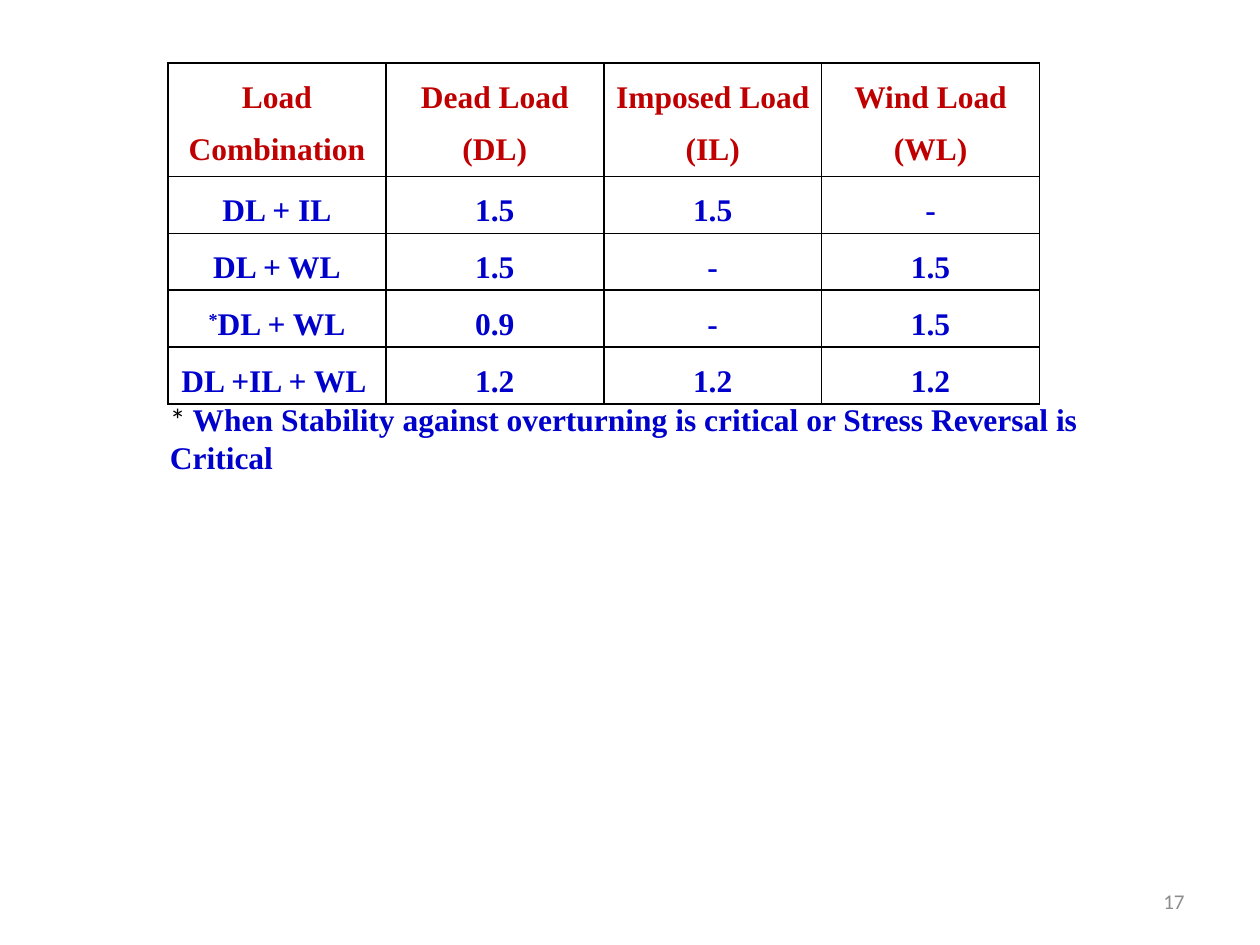
from dataclasses import dataclass

from lxml import etree
from pptx import Presentation
from pptx.dml.color import RGBColor
from pptx.enum.text import MSO_ANCHOR, MSO_AUTO_SIZE, PP_ALIGN
from pptx.oxml.ns import qn
from pptx.util import Pt

CENTER, RIGHT = PP_ALIGN.CENTER, PP_ALIGN.RIGHT
TOP, MIDDLE = MSO_ANCHOR.TOP, MSO_ANCHOR.MIDDLE
FIT_SHAPE, BLANK = MSO_AUTO_SIZE.SHAPE_TO_FIT_TEXT, 6


@dataclass(frozen=True)
class Theme:
    serif: str = "Times New Roman"
    sans: str = "Calibri"
    header: str = "C00000"
    body: str = "0000CC"
    black: str = "000000"
    muted: str = "8C8C8C"
    text_size: int = 18
    number_size: int = 12
    border: int = 1


THEME = Theme()
HEADER = dict(name=THEME.serif, size=THEME.text_size, bold=True, color=THEME.header)
BODY = {**HEADER, "color": THEME.body}
MARK = dict(name=THEME.sans, size=THEME.text_size, color=THEME.black)
NUMBER = dict(name=THEME.sans, size=THEME.number_size, color=THEME.muted)

LOADS = [
    ["Load Combination", "Dead Load (DL)", "Imposed Load (IL)", "Wind Load (WL)"],
    ["DL + IL", "1.5", "1.5", "-"],
    ["DL + WL", "1.5", "-", "1.5"],
    ["*DL + WL", "0.9", "-", "1.5"],
    ["DL +IL + WL ", "1.2", "1.2", "1.2"],
]
HEADER_HEIGHT, ROW_HEIGHT = 64.8, 32.5


def set_attrs(obj, **values):
    for name, value in values.items():
        setattr(obj, name, value)


def add_run(p, text, color, size, **font):
    r = p.add_run()
    r.text = text
    set_attrs(r.font, size=Pt(size), **font)
    r.font.color.rgb = RGBColor.from_string(color)
    return r


def set_borders(cell):
    tcPr = cell._tc.get_or_add_tcPr()
    for i, side in enumerate(("lnL", "lnR", "lnT", "lnB")):
        ln = etree.Element(qn(f"a:{side}"), w=str(Pt(THEME.border)))
        fill = etree.SubElement(ln, qn("a:solidFill"))
        etree.SubElement(fill, qn("a:srgbClr"), val=THEME.black)
        tcPr.insert(i, ln)


def fill_cell(cell, text, style):
    set_attrs(cell, margin_left=Pt(5), margin_right=Pt(5), margin_top=0,
              margin_bottom=0, vertical_anchor=TOP)
    p = cell.text_frame.paragraphs[0]
    set_attrs(p, alignment=CENTER, line_spacing=1.5)
    # A leading asterisk is a raised footnote mark
    if text.startswith("*"):
        mark = add_run(p, "*", **style)
        mark.font._element.set("baseline", "30000")
        text = text[1:]
    add_run(p, text, **style)
    set_borders(cell)
    cell.fill.background()


def add_load_table(s, x, y, w):
    height = HEADER_HEIGHT + ROW_HEIGHT * (len(LOADS) - 1)
    table = s.shapes.add_table(len(LOADS), len(LOADS[0]),
                               Pt(x), Pt(y), Pt(w), Pt(height)).table
    set_attrs(table, first_row=False, horz_banding=False)
    for i, values in enumerate(LOADS):
        table.rows[i].height = Pt(ROW_HEIGHT if i else HEADER_HEIGHT)
        for j, text in enumerate(values):
            fill_cell(table.cell(i, j), text, BODY if i else HEADER)


def add_text(s, x, y, w, h, runs, align=None, **frame):
    tf = s.shapes.add_textbox(Pt(x), Pt(y), Pt(w), Pt(h)).text_frame
    set_attrs(tf, word_wrap=True, **frame)
    p = tf.paragraphs[0]
    p.alignment = align
    for text, style in runs:
        add_run(p, text, **style)


def add_footnote(s, x, y, w, h):
    note = "When Stability against overturning is critical or Stress Reversal is Critical"
    add_text(s, x, y, w, h, [("* ", MARK), (note, BODY)], auto_size=FIT_SHAPE)


def add_page_number(s, x, y, w, h):
    add_text(s, x, y, w, h, [("17", NUMBER)], RIGHT, vertical_anchor=MIDDLE)


def main():
    prs = Presentation()
    set_attrs(prs, slide_width=Pt(720), slide_height=Pt(540))
    s = prs.slides.add_slide(prs.slide_layouts[BLANK])
    add_load_table(s, 96, 36, 498)
    add_footnote(s, 90, 225, 594, 51)
    add_page_number(s, 516, 500.5, 168, 28.8)
    prs.save("out.pptx")


if __name__ == "__main__":
    main()
